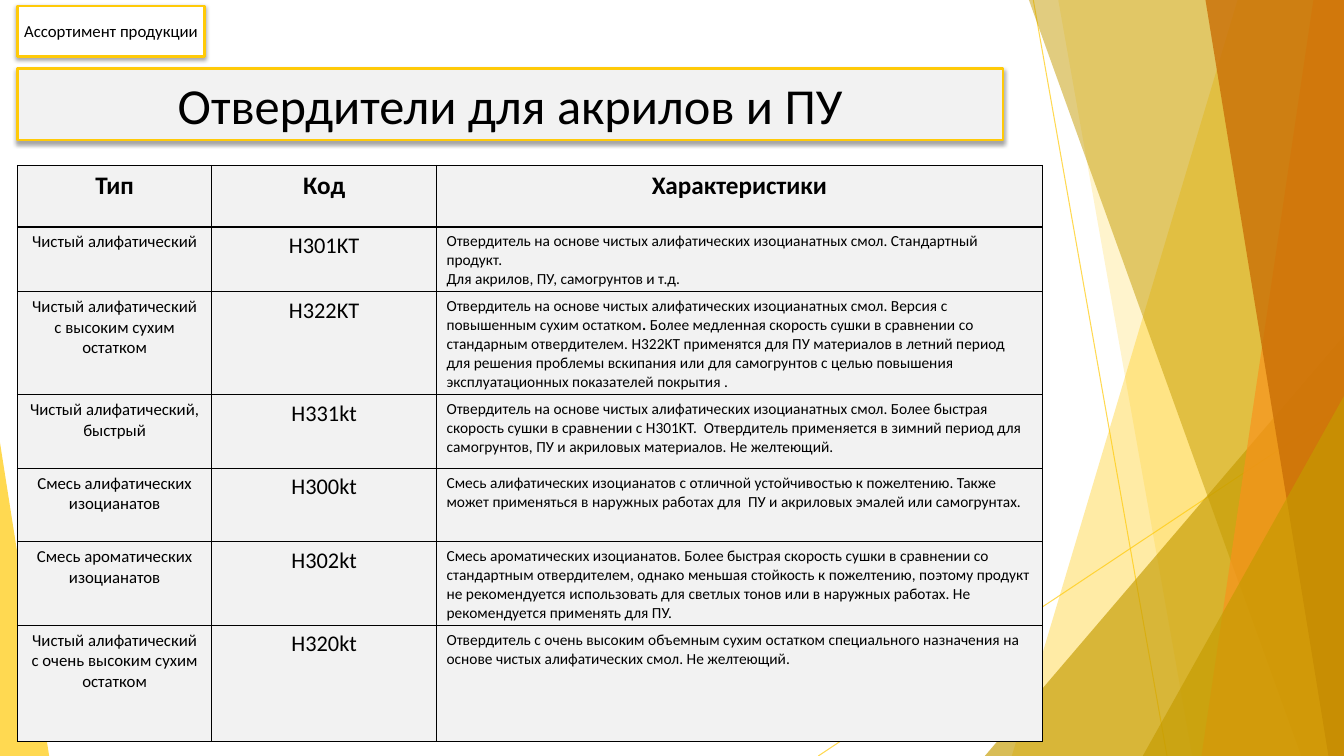
from typing import NamedTuple

from lxml.etree import SubElement
from pptx import Presentation
from pptx.dml.color import RGBColor
from pptx.enum.shapes import MSO_CONNECTOR, MSO_SHAPE
from pptx.enum.text import MSO_ANCHOR, PP_ALIGN
from pptx.oxml import parse_xml
from pptx.oxml.ns import nsdecls, qn
from pptx.util import Cm, Pt

WIDTH, HEIGHT = 33.87, 19.05
FONT = "Calibri"
BLACK = RGBColor(0x00, 0x00, 0x00)
WHITE = RGBColor(0xFF, 0xFF, 0xFF)
GREY = RGBColor(0xF2, 0xF2, 0xF2)
YELLOW = RGBColor(0xFF, 0xCA, 0x08)
OLIVE = RGBColor(0xC5, 0x9B, 0x00)
ORANGE = RGBColor(0xF8, 0x93, 0x1D)
BROWN = RGBColor(0xCA, 0x6F, 0x06)


class Ray(NamedTuple):
    x1: float
    y1: float
    x2: float
    y2: float


class Band(NamedTuple):
    """Full-height strip from a slanted left edge to the right slide edge."""
    top_x: float
    bottom_x: float
    color: RGBColor
    opacity: int


class Wedge(NamedTuple):
    """Triangle standing on the bottom slide edge; apex is 0 (left) to 1 (right)."""
    left: float
    top: float
    width: float
    apex: float
    color: RGBColor
    opacity: int


class Frame(NamedTuple):
    text: str
    top: float
    width: float
    height: float
    size: int
    fill: RGBColor


class Hardener(NamedTuple):
    kind: str
    code: str
    details: list[list[tuple[str, bool]]]  # paragraphs of (text, bold) runs
    height: float


RAYS = [Ray(26.04, 0, 29.41, HEIGHT), Ray(WIDTH, 10.24, 20.62, HEIGHT)]
DECOR = [
    Band(31.19, 25.5, YELLOW, 36),
    Band(26.67, 30.05, YELLOW, 20),
    Wedge(24.82, 8.46, 9.05, 1, OLIVE, 66),
    Band(25.93, 32.79, OLIVE, 50),
    Band(33.1, 30.28, ORANGE, 70),
    Band(30.38, 33.48, BROWN, 80),
    Wedge(28.8, 9.98, 5.07, 1, OLIVE, 66),
    Wedge(0, 11.15, 1.24, 0, YELLOW, 70),
]
LEFT = 0.44
FRAMES = [
    Frame("Отвердители для акрилов и ПУ", 1.73, 24.84, 1.8, 36, GREY),
    Frame("Ассортимент продукции", 0.15, 4.72, 1.27, 12, WHITE),
]
TABLE_TOP = 4.17
COLUMNS = {"Тип": 4.9, "Код": 5.66, "Характеристики": 15.27}
HEADER_HEIGHT = 1.55
HARDENERS = [
    Hardener("Чистый алифатический", "H301KT", [
        [("Отвердитель на основе чистых алифатических изоцианатных смол. "
          "Стандартный продукт.", False)],
        [("Для акрилов, ПУ, самогрунтов и т.д.", False)]], 1.4),
    Hardener("Чистый алифатический с высоким сухим остатком", "H322KT", [
        [("Отвердитель на основе чистых алифатических изоцианатных смол. "
          "Версия с повышенным сухим остатком", False),
         (". ", True),
         ("Более медленная скорость сушки в сравнении со стандарным отвердителем. "
          "H322KT применятся для ПУ материалов в летний период для решения проблемы "
          "вскипания или для самогрунтов с целью повышения эксплуатационных "
          "показателей покрытия .", False)]], 2.39),
    Hardener("Чистый алифатический, быстрый", "H331kt", [
        [("Отвердитель на основе чистых алифатических изоцианатных смол. Более "
          "быстрая скорость сушки в сравнении с H301KT.  Отвердитель применяется в "
          "зимний период для самогрунтов, ПУ и акриловых материалов. "
          "Не желтеющий.", False)]], 1.85),
    Hardener("Смесь алифатических изоцианатов", "H300kt", [
        [("Смесь алифатических изоцианатов с отличной устойчивостью к пожелтению. "
          "Также может применяться в наружных работах для  ПУ и акриловых эмалей "
          "или самогрунтах.", False)]], 1.85),
    Hardener("Смесь ароматических изоцианатов", "H302kt", [
        [("Смесь ароматических изоцианатов. Более быстрая скорость сушки в сравнении "
          "со стандартным отвердителем, однако меньшая стойкость к пожелтению, "
          "поэтому продукт не рекомендуется использовать для светлых тонов или в "
          "наружных работах. Не рекомендуется применять для ПУ.", False)]], 2.11),
    Hardener("Чистый алифатический с очень высоким сухим остатком", "H320kt", [
        [("Отвердитель с очень высоким объемным сухим остатком специального "
          "назначения на основе чистых алифатических смол. Не желтеющий.", False)]],
        2.92),
]


def set_opacity(fill_parent, percent: int) -> None:
    color = next(fill_parent.iter(qn("a:srgbClr")))
    SubElement(color, qn("a:alpha"), val=str(percent * 1000))


def add_ray(shapes, ray: Ray) -> None:
    line = shapes.add_connector(MSO_CONNECTOR.STRAIGHT, *map(Cm, ray))
    line.line.color.rgb = YELLOW
    line.line.width = Pt(0.75)
    sp_pr = line._element.spPr
    set_opacity(sp_pr, 70)
    SubElement(sp_pr, qn("a:effectLst"))


def add_decor(shapes, item: Band | Wedge) -> None:
    if isinstance(item, Band):
        builder = shapes.build_freeform(Cm(item.top_x), 0)
        builder.add_line_segments([(Cm(WIDTH), 0), (Cm(WIDTH), Cm(HEIGHT)),
                                   (Cm(item.bottom_x), Cm(HEIGHT))])
        sp = builder.convert_to_shape()
    else:
        sp = shapes.add_shape(MSO_SHAPE.ISOSCELES_TRIANGLE, Cm(item.left), Cm(item.top),
                              Cm(item.width), Cm(HEIGHT - item.top))
        sp.adjustments[0] = item.apex
    sp.shadow.inherit = False
    sp.fill.solid()
    sp.fill.fore_color.rgb = item.color
    sp.line.fill.background()
    set_opacity(sp._element.spPr, item.opacity)


def write(tf, paragraphs: list[list[tuple[str, bool]]], size: int,
          align: PP_ALIGN = PP_ALIGN.CENTER) -> None:
    for i, runs in enumerate(paragraphs):
        p = tf.add_paragraph() if i else tf.paragraphs[0]
        p.alignment = align
        for text, bold in runs:
            r = p.add_run()
            r.text = text
            r.font.name, r.font.size, r.font.bold = FONT, Pt(size), bold
            r.font.color.rgb = BLACK


def add_frame(shapes, frame: Frame) -> None:
    sp = shapes.add_shape(MSO_SHAPE.RECTANGLE, Cm(LEFT), Cm(frame.top),
                          Cm(frame.width), Cm(frame.height))
    sp.fill.solid()
    sp.fill.fore_color.rgb = frame.fill
    sp.line.color.rgb = YELLOW
    sp.line.width = Pt(2)
    sp._element.spPr.append(parse_xml(
        f'<a:effectLst {nsdecls("a")}><a:outerShdw blurRad="{Pt(3)}" dist="{Pt(1.8)}" '
        'dir="5400000" rotWithShape="0"><a:srgbClr val="000000">'
        '<a:alpha val="35000"/></a:srgbClr></a:outerShdw></a:effectLst>'))
    tf = sp.text_frame
    tf.word_wrap = True
    tf.vertical_anchor = MSO_ANCHOR.MIDDLE
    tf.margin_left = tf.margin_right = tf.margin_top = tf.margin_bottom = Cm(0.13)
    write(tf, [[(frame.text, False)]], frame.size)


def style_cell(cell) -> None:
    """Draw the black cell borders and the grey fill."""
    cell.margin_bottom = Cm(0.07)
    tc_pr = cell._tc.get_or_add_tcPr()
    for side in ("lnL", "lnR", "lnT", "lnB"):
        tc_pr.append(parse_xml(
            f'<a:{side} {nsdecls("a")} w="{Pt(1)}"><a:solidFill>'
            f'<a:srgbClr val="{BLACK}"/></a:solidFill></a:{side}>'))
    cell.fill.solid()
    cell.fill.fore_color.rgb = GREY


def add_hardener_table(shapes) -> None:
    heights = [HEADER_HEIGHT] + [h.height for h in HARDENERS]
    table = shapes.add_table(len(heights), len(COLUMNS), Cm(LEFT), Cm(TABLE_TOP),
                             Cm(sum(COLUMNS.values())), Cm(sum(heights))).table
    table.first_row = table.horz_banding = False
    for row, height in zip(table.rows, heights):
        row.height = Cm(height)
    for i, (title, width) in enumerate(COLUMNS.items()):
        table.columns[i].width = Cm(width)
        write(table.cell(0, i).text_frame, [[(title, True)]], 18)
    for i, hardener in enumerate(HARDENERS, 1):
        kind, code, details = (table.cell(i, j).text_frame for j in range(3))
        write(kind, [[(hardener.kind, False)]], 12)
        write(code, [[(hardener.code, False)]], 16)
        write(details, hardener.details, 11, PP_ALIGN.LEFT)
    for cell in table.iter_cells():
        style_cell(cell)


def main() -> None:
    prs = Presentation()
    prs.slide_width, prs.slide_height = Cm(WIDTH), Cm(HEIGHT)
    shapes = prs.slides.add_slide(prs.slide_layouts[6]).shapes
    for ray in RAYS:
        add_ray(shapes, ray)
    for item in DECOR:
        add_decor(shapes, item)
    for frame in FRAMES:
        add_frame(shapes, frame)
    add_hardener_table(shapes)
    prs.save("out.pptx")


if __name__ == "__main__":
    main()
